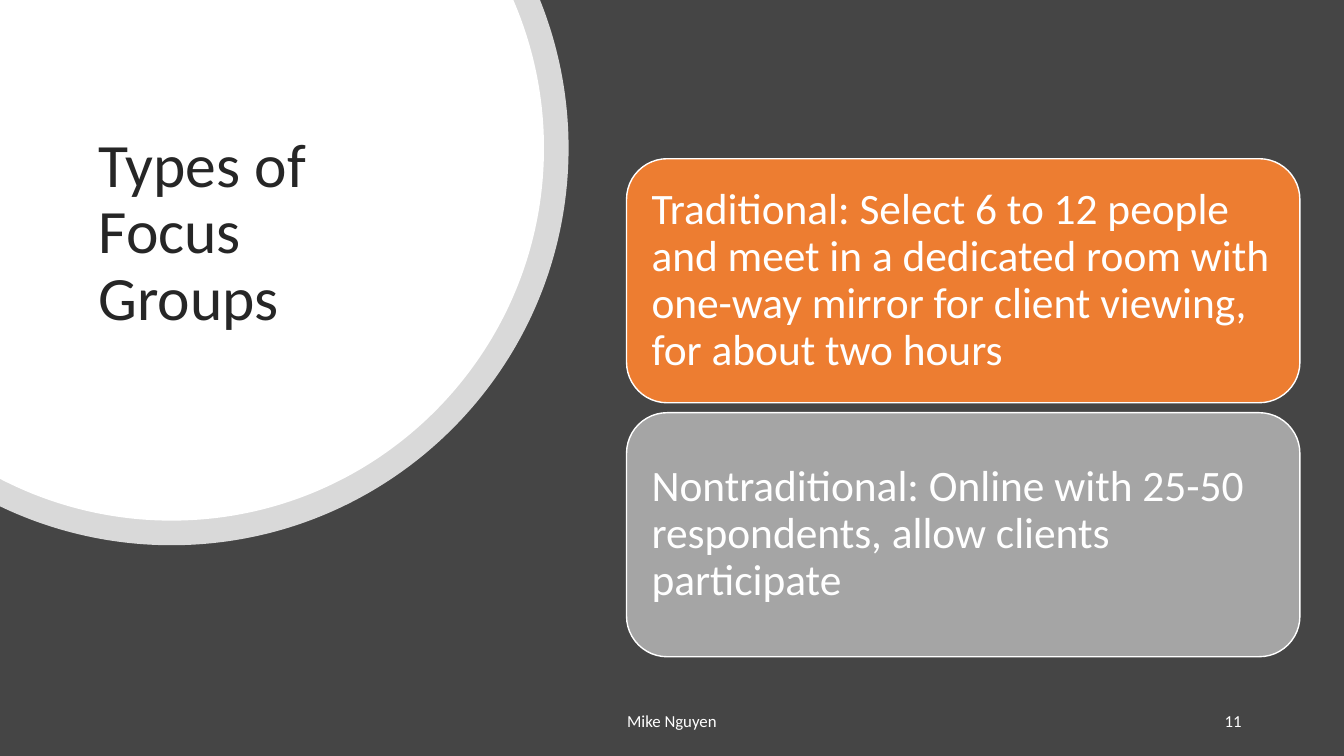
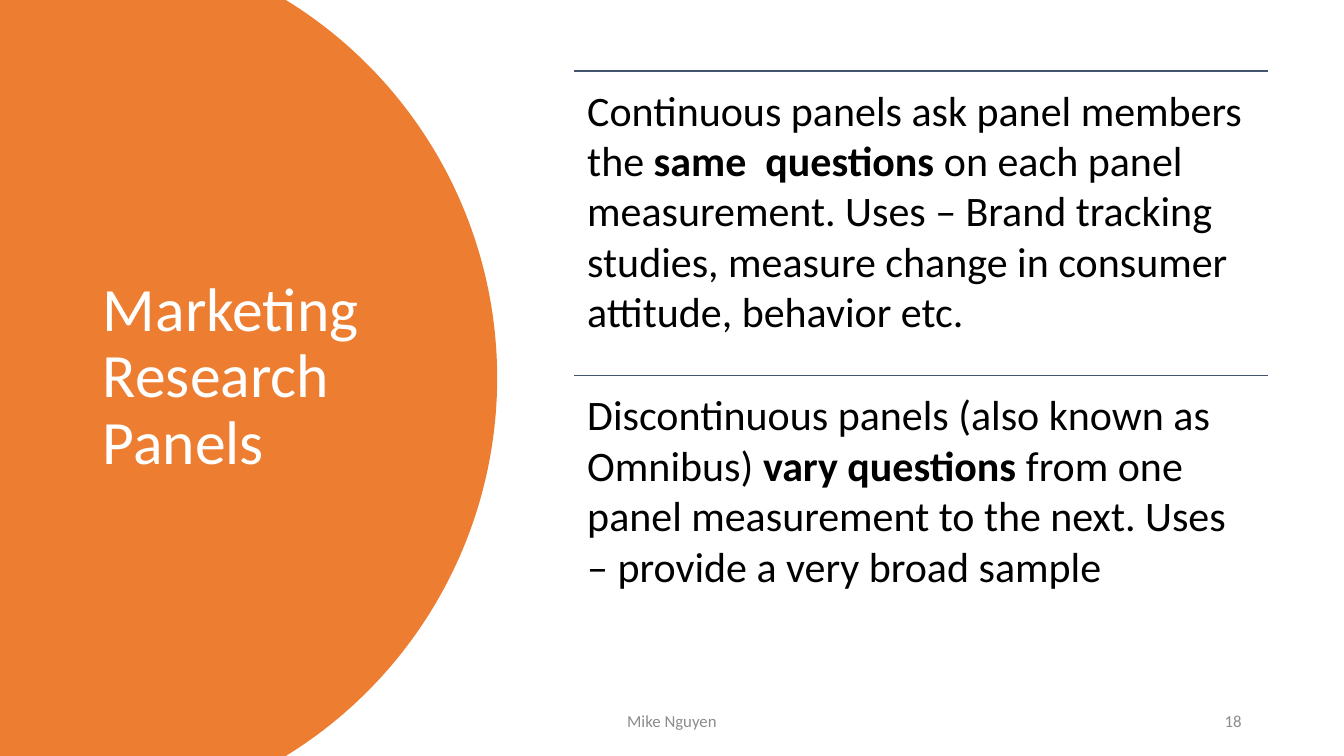
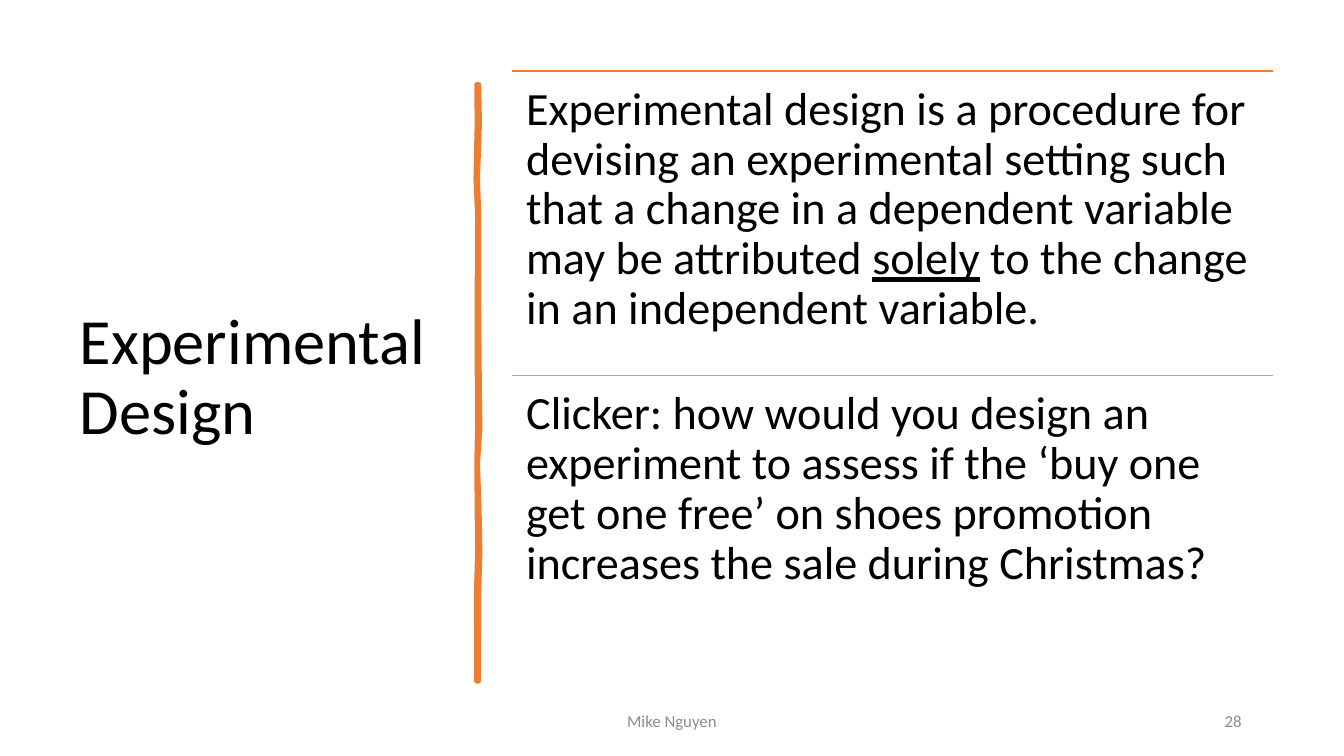
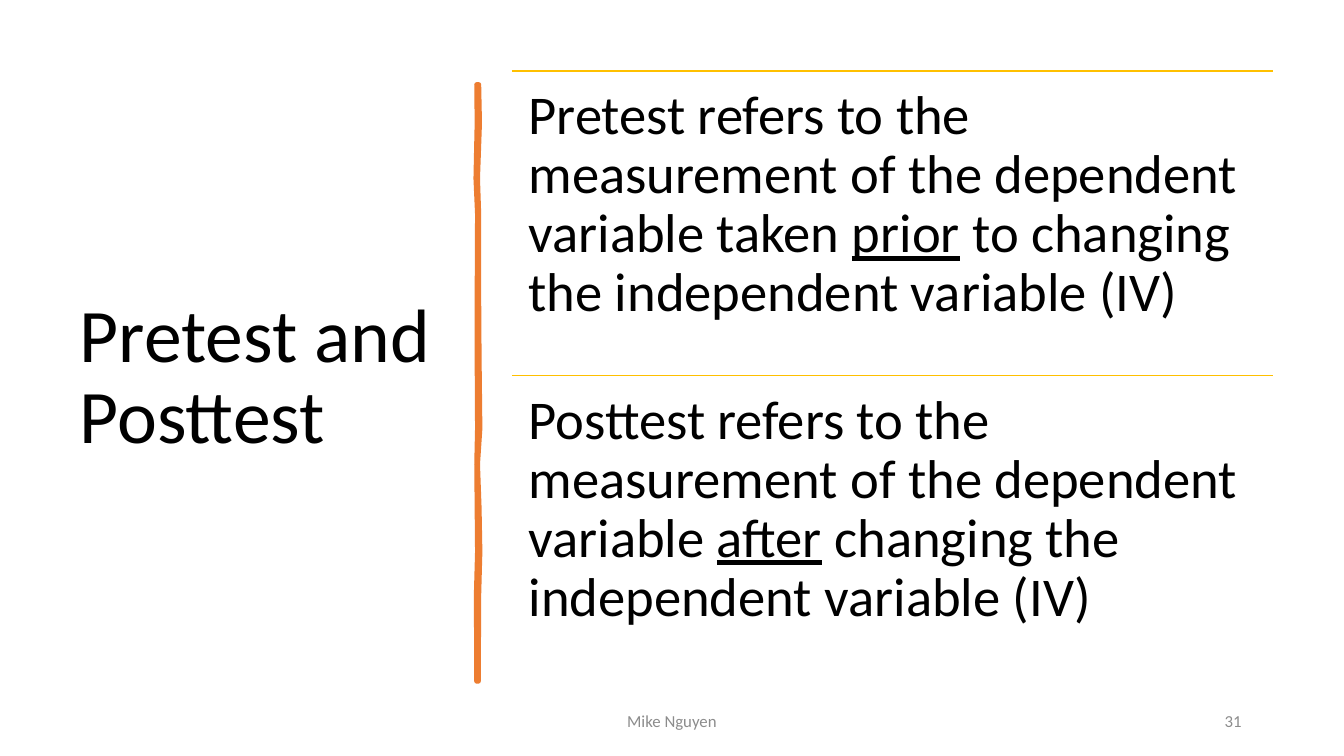
import math

import lxml.etree
import pptx
import pptx.dml.color
import pptx.enum.shapes
import pptx.enum.text
import pptx.oxml.ns
import pptx.util

Cm, Pt = pptx.util.Cm, pptx.util.Pt
RGBColor = pptx.dml.color.RGBColor
ALIGN = pptx.enum.text.PP_ALIGN
ANCHOR = pptx.enum.text.MSO_ANCHOR
qn = pptx.oxml.ns.qn

# Shared look
WHITE = RGBColor(0xFF, 0xFF, 0xFF)
BLACK = RGBColor(0x00, 0x00, 0x00)
CHARCOAL = RGBColor(0x45, 0x45, 0x45)
INK = RGBColor(0x26, 0x26, 0x26)
ORANGE = RGBColor(0xED, 0x7D, 0x31)
GREY = RGBColor(0xA5, 0xA5, 0xA5)
FOOTER_GREY = RGBColor(0x8C, 0x8C, 0x8C)
SLATE = RGBColor(0x44, 0x54, 0x6A)
GOLD = RGBColor(0xFF, 0xC0, 0x00)

FONT = "Calibri"
AUTHOR = "Mike Nguyen"
PAGE_WIDTH, PAGE_HEIGHT = 33.87, 19.05
TITLE_ONLY = 5

# Regions in cm: left, top, width, height
SIDE_TITLE = (1.76, 1.78, 9.5, 15.52)
SIDE_ROWS = (12.9, 1.79, 19.18, 15.36)

# Brush stroke: (top, left edge, right edge) in cm
BRUSH_EDGES = [
    (2.13, 12.01, 12.07), (3.1, 12.02, 12.09), (4.5, 11.99, 12.04),
    (5.4, 12.03, 12.07), (7.5, 12.02, 12.07), (9.0, 12.02, 12.08),
    (10.8, 12.03, 12.1), (11.7, 12.01, 12.04), (12.8, 12.02, 12.08),
    (13.9, 12.03, 12.1), (15.0, 12.0, 12.07), (17.17, 12.01, 12.06),
]


def add_page(deck, background):
    page = deck.slides.add_slide(deck.slide_layouts[TITLE_ONLY])
    page.background.fill.solid()
    page.background.fill.fore_color.rgb = background
    return page


def place(box):
    return [Cm(length) for length in box]


def write(frame, parts, size, color, align=ALIGN.LEFT, anchor=ANCHOR.MIDDLE,
          spacing=1.0, inset=None, emphasis="bold"):
    """Fill a frame with one paragraph; every second part is emphasised."""
    frame.word_wrap = True
    frame.auto_size = pptx.enum.text.MSO_AUTO_SIZE.NONE
    frame.vertical_anchor = anchor
    if inset is not None:
        frame.margin_left = frame.margin_right = Cm(inset)
        frame.margin_top = frame.margin_bottom = Cm(inset)
    para = frame.paragraphs[0]
    para.alignment = align
    para.line_spacing = spacing
    for index, part in enumerate(parts):
        span = para.add_run()
        span.text = part
        span.font.name = FONT
        span.font.size = Pt(size)
        span.font.color.rgb = color
        if index % 2:
            setattr(span.font, emphasis, True)


def add_text(page, box, parts, size, color, **style):
    holder = page.shapes.add_textbox(*place(box))
    write(holder.text_frame, parts, size, color, **style)


def set_title(page, box, text, size, color):
    title = page.shapes.title
    title.left, title.top, title.width, title.height = place(box)
    write(title.text_frame, [text], size, color, spacing=0.9)
    page.shapes.element.append(title.element)  # bring in front of the panels


def add_footer(page, number, color):
    add_text(page, (11.22, 17.65, 11.43, 1.02), [AUTHOR], 12, color, align=ALIGN.CENTER)
    add_text(page, (23.92, 17.65, 7.62, 1.02), [str(number)], 12, color, align=ALIGN.RIGHT)


def add_outline(page, points, color):
    points = [(Cm(x), Cm(y)) for x, y in points]
    builder = page.shapes.build_freeform(*points[0])
    builder.add_line_segments(points[1:], close=True)
    shape = builder.convert_to_shape()
    shape.shadow.inherit = False
    shape.fill.solid()
    shape.fill.fore_color.rgb = color
    shape.line.fill.background()
    return shape


def add_disc(page, center, radius, color, opacity=100):
    """Draw the part of a disc that lies on the page, from the left edge."""
    def polar(angle, reach=radius):
        return (center[0] + reach * math.cos(angle), center[1] + reach * math.sin(angle))

    below = PAGE_HEIGHT - center[1]
    start = math.asin(-center[1] / radius)
    end = math.asin(below / radius) if below < radius else math.acos(-center[0] / radius)
    angles = [start, *(a for a in (0, math.pi / 2) if start < a < end), end]
    points = [(0, 0), *(polar(angle) for angle in angles)]
    if below < radius:
        points.append((0, PAGE_HEIGHT))
    disc = add_outline(page, points, color)

    # Bend the straight segments between the arc points into curves
    segments = list(disc.element.iter(qn("a:lnTo")))[1:len(angles)]
    for segment, first, last in zip(segments, angles, angles[1:]):
        bend = math.atan(4 / 3 * math.tan((last - first) / 4))
        reach = radius / math.cos(bend)
        curve = lxml.etree.Element(qn("a:cubicBezTo"))
        for x, y in (polar(first + bend, reach), polar(last - bend, reach), polar(last)):
            lxml.etree.SubElement(curve, qn("a:pt"), x=str(Cm(x)), y=str(Cm(y)))
        segment.getparent().replace(segment, curve)

    if opacity < 100:
        tint = next(disc.element.spPr.iter(qn("a:srgbClr")))
        lxml.etree.SubElement(tint, qn("a:alpha"), val=str(opacity * 1000))


def add_brush(page):
    left = [(x, y) for y, x, _ in BRUSH_EDGES]
    right = [(x, y) for y, _, x in BRUSH_EDGES]
    brush = add_outline(page, left + right[::-1], ORANGE)
    brush.line.color.rgb = ORANGE
    brush.line.width = Pt(3.25)
    outline = brush.element.spPr.find(qn("a:ln"))
    lxml.etree.SubElement(outline, qn("a:round"))


def add_rule(page, left, top, width, color):
    rule = page.shapes.add_connector(
        pptx.enum.shapes.MSO_CONNECTOR.STRAIGHT,
        Cm(left), Cm(top), Cm(left + width), Cm(top))
    rule.line.color.rgb = color
    rule.line.width = Pt(1)
    lxml.etree.SubElement(rule.element.spPr, qn("a:effectLst"))


def add_ruled_rows(page, box, rows, size, **style):
    """Stack equal rows, each a rule with its text below."""
    left, top, width, height = box
    step = height / len(rows)
    for index, (color, parts) in enumerate(rows):
        row_top = top + index * step
        add_rule(page, left, row_top, width, color)
        add_text(page, (left, row_top, width, step), parts, size, BLACK,
                 anchor=ANCHOR.TOP, **style)


def add_cards(page, box, cards, gap):
    """Stack equal rounded cards."""
    left, top, width, height = box
    card_height = (height - gap * (len(cards) - 1)) / len(cards)
    for index, (color, text) in enumerate(cards):
        card_top = top + index * (card_height + gap)
        card = page.shapes.add_shape(
            pptx.enum.shapes.MSO_SHAPE.ROUNDED_RECTANGLE,
            *place((left, card_top, width, card_height)))
        card.shadow.inherit = False
        card.fill.solid()
        card.fill.fore_color.rgb = color
        card.line.color.rgb = WHITE
        card.line.width = Pt(1)
        write(card.text_frame, [text], 31, WHITE, spacing=0.9, inset=0.33)


def build_focus_groups(deck):
    page = add_page(deck, CHARCOAL)
    center = (4.32, 3.73)
    add_disc(page, center, 10.01, WHITE, opacity=80)
    add_disc(page, center, 9.39, WHITE)
    set_title(page, (2.23, 1.68, 8.94, 8.43), "Types of Focus Groups", 44, INK)
    add_cards(page, (15.79, 4, 16.97, 12.55), [
        (ORANGE, "Traditional: Select 6 to 12 people and meet in a dedicated room "
                 "with one-way mirror for client viewing, for about two hours"),
        (GREY, "Nontraditional: Online with 25-50 respondents, allow clients participate"),
    ], gap=0.25)
    add_footer(page, 11, WHITE)


def build_panels(deck):
    page = add_page(deck, WHITE)
    add_disc(page, (1.35, PAGE_HEIGHT / 2), 11.18, ORANGE)
    set_title(page, (2.34, 1.78, 8.2, 15.47), "Marketing Research Panels", 44, WHITE)
    add_ruled_rows(page, (14.47, 1.79, 17.48, 15.36), [
        (SLATE, ["Continuous panels ask panel members the ", "same  questions",
                 " on each panel measurement. Uses – Brand tracking studies, "
                 "measure change in consumer attitude, behavior etc."]),
        (SLATE, ["Discontinuous panels (also known as Omnibus) ", "vary questions ",
                 "from one panel measurement to the next. Uses – provide a very "
                 "broad sample"]),
    ], 30, inset=0.33)
    add_footer(page, 18, FOOTER_GREY)


def build_brush_page(deck, title, title_size, rows, text_size, inset, number):
    page = add_page(deck, WHITE)
    set_title(page, SIDE_TITLE, title, title_size, BLACK)
    add_brush(page)
    add_ruled_rows(page, SIDE_ROWS, rows, text_size, inset=inset,
                   spacing=0.9, emphasis="underline")
    add_footer(page, number, FOOTER_GREY)


def main():
    deck = pptx.Presentation()
    deck.slide_width, deck.slide_height = Cm(PAGE_WIDTH), Cm(PAGE_HEIGHT)
    build_focus_groups(deck)
    build_panels(deck)
    build_brush_page(deck, "Experimental Design", 46, [
        (ORANGE, ["Experimental design is a procedure for devising an experimental "
                  "setting such that a change in a dependent variable may be "
                  "attributed ", "solely", " to the change in an independent variable."]),
        (GREY, ["Clicker: how would you design an experiment to assess if the "
                "‘buy one get one free’ on shoes promotion increases the sale "
                "during Christmas?"]),
    ], 33, 0.36, 28)
    build_brush_page(deck, "Pretest and Posttest", 54, [
        (GOLD, ["Pretest refers to the measurement of the dependent variable taken ",
                "prior", " to changing the independent variable (IV)"]),
        (GOLD, ["Posttest refers to the measurement of the dependent variable ",
                "after", " changing the independent variable (IV)"]),
    ], 39, 0.42, 31)
    deck.save("out.pptx")


if __name__ == "__main__":
    main()
